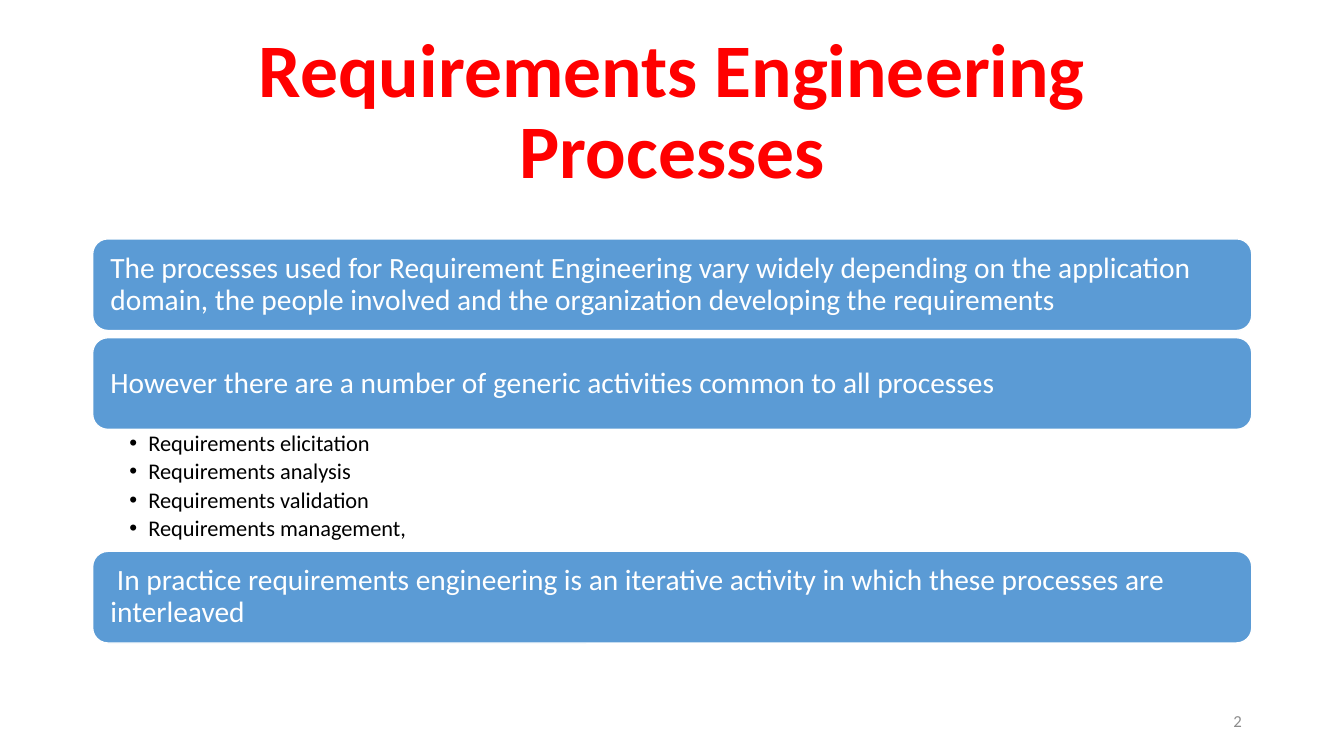
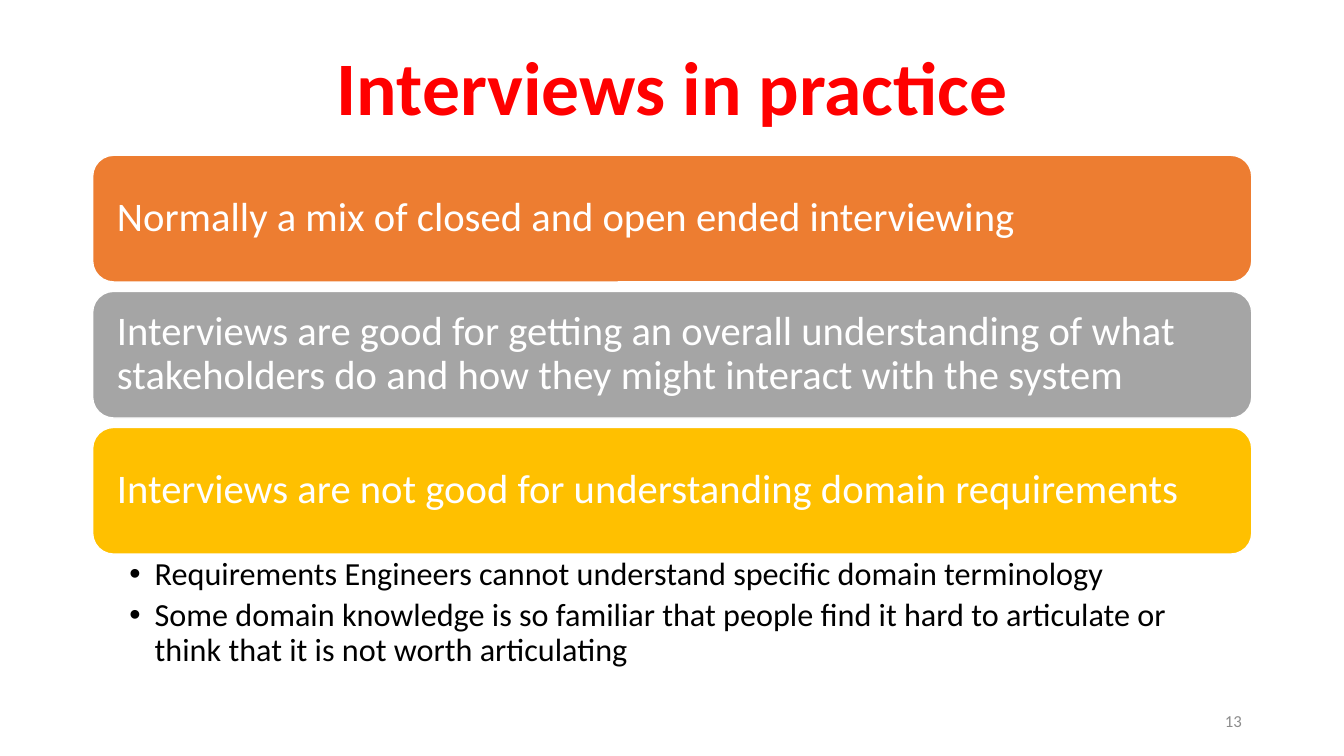
from dataclasses import dataclass

from lxml import etree
from pptx import Presentation
from pptx.dml.color import RGBColor
from pptx.enum import shapes, text
from pptx.oxml.ns import qn
from pptx.util import Pt

FONT = "Calibri"
RED, WHITE, BLACK, GREY = "FF0000", "FFFFFF", "000000", "8C8C8C"
BLUE, ORANGE, SILVER, GOLD = "5B9BD5", "ED7D31", "A5A5A5", "FFC000"
LEFT, WIDTH = 66.2, 828
TITLE_TOP = 28.8
LIST_HEIGHT = 87.1


@dataclass(frozen=True)
class Band:
    statement: str
    fill: str
    points: tuple[str, ...] = ()


@dataclass(frozen=True)
class BandStyle:
    top: float
    height: float
    gap: float
    inset: float
    size: float
    point_size: float
    point_indent: float
    point_gap: float
    point_inset: float


@dataclass(frozen=True)
class Page:
    title: str
    title_height: float
    number: str
    style: BandStyle
    bands: tuple[Band, ...]


PAGES = (
    Page(
        "Requirements Engineering Processes", 104.4, "2",
        BandStyle(top=170.6, height=65.5, gap=5.1, inset=9.5, size=21,
                  point_size=16, point_indent=13.5, point_gap=3, point_inset=2),
        (
            Band("The processes used for Requirement Engineering vary widely depending on "
                 "the application domain, the people involved and the organization "
                 "developing the requirements", BLUE),
            Band("However there are a number of generic activities common to all processes",
                 BLUE,
                 ("Requirements elicitation", "Requirements analysis",
                  "Requirements validation", "Requirements management,")),
            Band(" In practice requirements engineering is an iterative activity in which "
                 "these processes are interleaved", BLUE),
        ),
    ),
    Page(
        "Interviews in practice", 72, "13",
        BandStyle(top=110.9, height=90.5, gap=6.7, inset=13, size=29,
                  point_size=23, point_indent=18, point_gap=4, point_inset=2.9),
        (
            Band("Normally a mix of closed and open ended interviewing", ORANGE),
            Band("Interviews are good for getting an overall understanding of what "
                 "stakeholders do and how they might interact with the system", SILVER),
            Band("Interviews are not good for understanding domain requirements", GOLD,
                 ("Requirements Engineers cannot understand specific domain terminology",
                  "Some domain knowledge is so familiar that people find it hard to "
                  "articulate or think that it is not worth articulating")),
        ),
    ),
)


def rgb(value: str) -> RGBColor:
    return RGBColor.from_string(value)


def place(target, left: float, top: float, width: float, height: float) -> None:
    target.left, target.top = Pt(left), Pt(top)
    target.width, target.height = Pt(width), Pt(height)


def set_bullet(paragraph, indent: float) -> None:
    properties = paragraph._p.get_or_add_pPr()
    properties.set("marL", str(Pt(indent)))
    properties.set("indent", str(-Pt(indent)))
    etree.SubElement(properties, qn("a:buFont")).set("typeface", "Arial")
    etree.SubElement(properties, qn("a:buChar")).set("char", "•")


def write(frame, *lines: str, size: float, color: str, bold: bool = False,
          align=text.PP_ALIGN.LEFT, anchor=text.MSO_ANCHOR.MIDDLE,
          insets: tuple[float, float, float, float] = (7.2, 3.6, 7.2, 3.6),
          line_spacing: float = 0.9, gap: float = 0, bullet_indent: float = 0) -> None:
    """Fill a text frame, one paragraph a line; insets run left, top, right, bottom."""
    frame.word_wrap = True
    frame.auto_size = text.MSO_AUTO_SIZE.NONE
    frame.vertical_anchor = anchor
    (frame.margin_left, frame.margin_top,
     frame.margin_right, frame.margin_bottom) = map(Pt, insets)
    for index, line in enumerate(lines):
        paragraph = frame.add_paragraph() if index else frame.paragraphs[0]
        if bullet_indent:
            set_bullet(paragraph, bullet_indent)
        paragraph.alignment = align
        paragraph.line_spacing = line_spacing
        paragraph.space_before, paragraph.space_after = Pt(0), Pt(gap)
        run = paragraph.add_run()
        run.text = line
        run.font.name, run.font.size, run.font.bold = FONT, Pt(size), bold
        run.font.color.rgb = rgb(color)


def add_band(slide, band: Band, style: BandStyle, top: float) -> None:
    box = slide.shapes.add_shape(shapes.MSO_SHAPE.ROUNDED_RECTANGLE,
                                 Pt(LEFT), Pt(top), Pt(WIDTH), Pt(style.height))
    box.shadow.inherit = False
    box.fill.solid()
    box.fill.fore_color.rgb = rgb(band.fill)
    box.line.color.rgb = rgb(WHITE)
    box.line.width = Pt(1)
    write(box.text_frame, band.statement, size=style.size, color=WHITE,
          insets=(style.inset,) * 4)


def add_points(body, points: tuple[str, ...], style: BandStyle, top: float) -> None:
    place(body, LEFT, top, WIDTH, LIST_HEIGHT)
    write(body.text_frame, *points, size=style.point_size, color=BLACK,
          anchor=text.MSO_ANCHOR.TOP, gap=style.point_gap,
          bullet_indent=style.point_indent,
          insets=(26.3, style.point_inset, 14, style.point_inset))


def add_page(deck, page: Page) -> None:
    slide = deck.slides.add_slide(deck.slide_layouts[1])
    title, body = slide.placeholders
    place(title, LEFT, TITLE_TOP, WIDTH, page.title_height)
    write(title.text_frame, page.title, size=54, color=RED, bold=True,
          align=text.PP_ALIGN.CENTER)

    top = page.style.top
    for band in page.bands:
        add_band(slide, band, page.style, top)
        top += page.style.height
        if band.points:
            add_points(body, band.points, page.style, top)
            top += LIST_HEIGHT
        else:
            top += page.style.gap

    number = slide.shapes.add_textbox(Pt(678.2), Pt(500.5), Pt(216), Pt(28.8))
    write(number.text_frame, page.number, size=12, color=GREY,
          align=text.PP_ALIGN.RIGHT, line_spacing=1.0)


def main() -> None:
    deck = Presentation()
    deck.slide_width, deck.slide_height = Pt(960), Pt(540)
    for page in PAGES:
        add_page(deck, page)
    deck.save("out.pptx")


if __name__ == "__main__":
    main()
